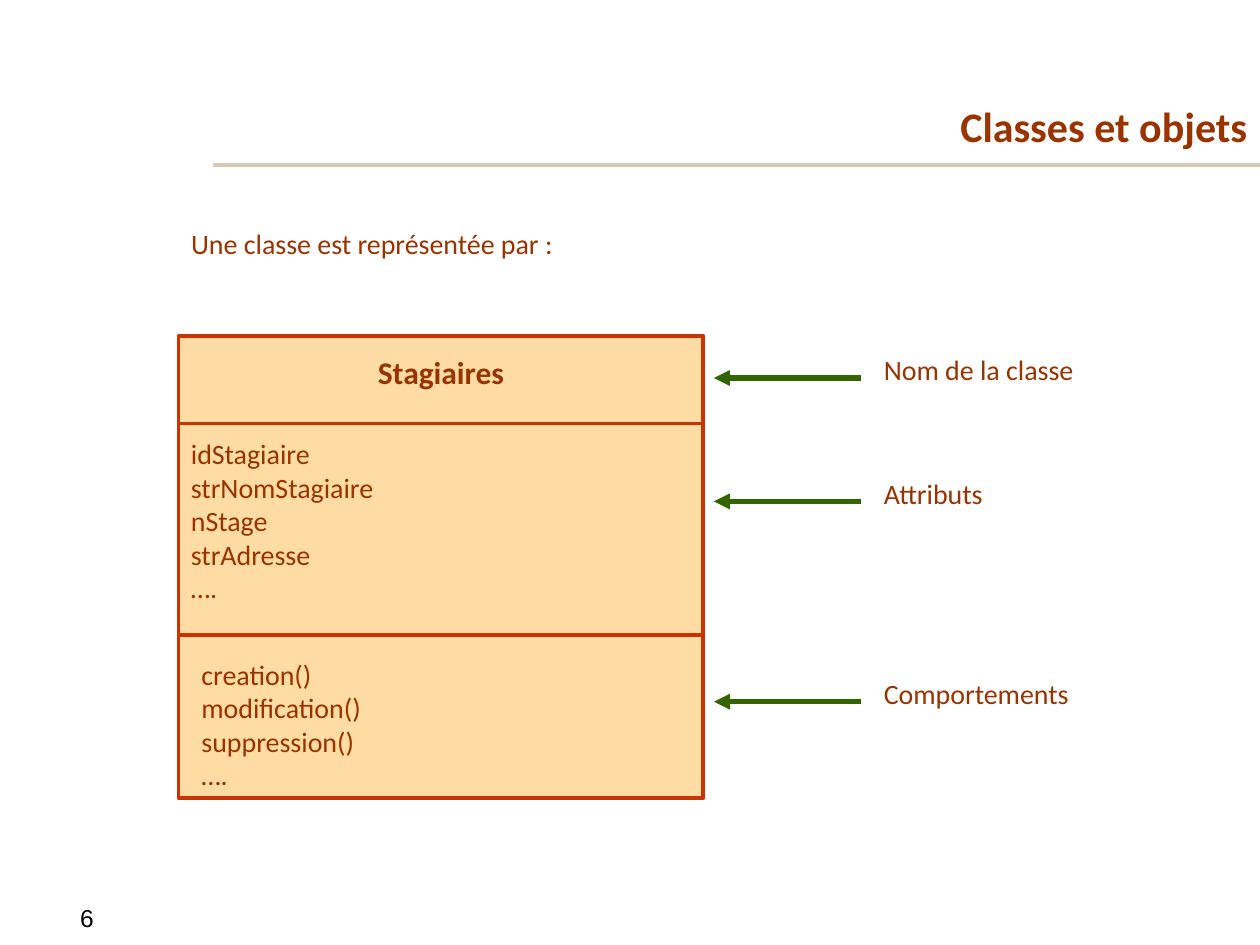
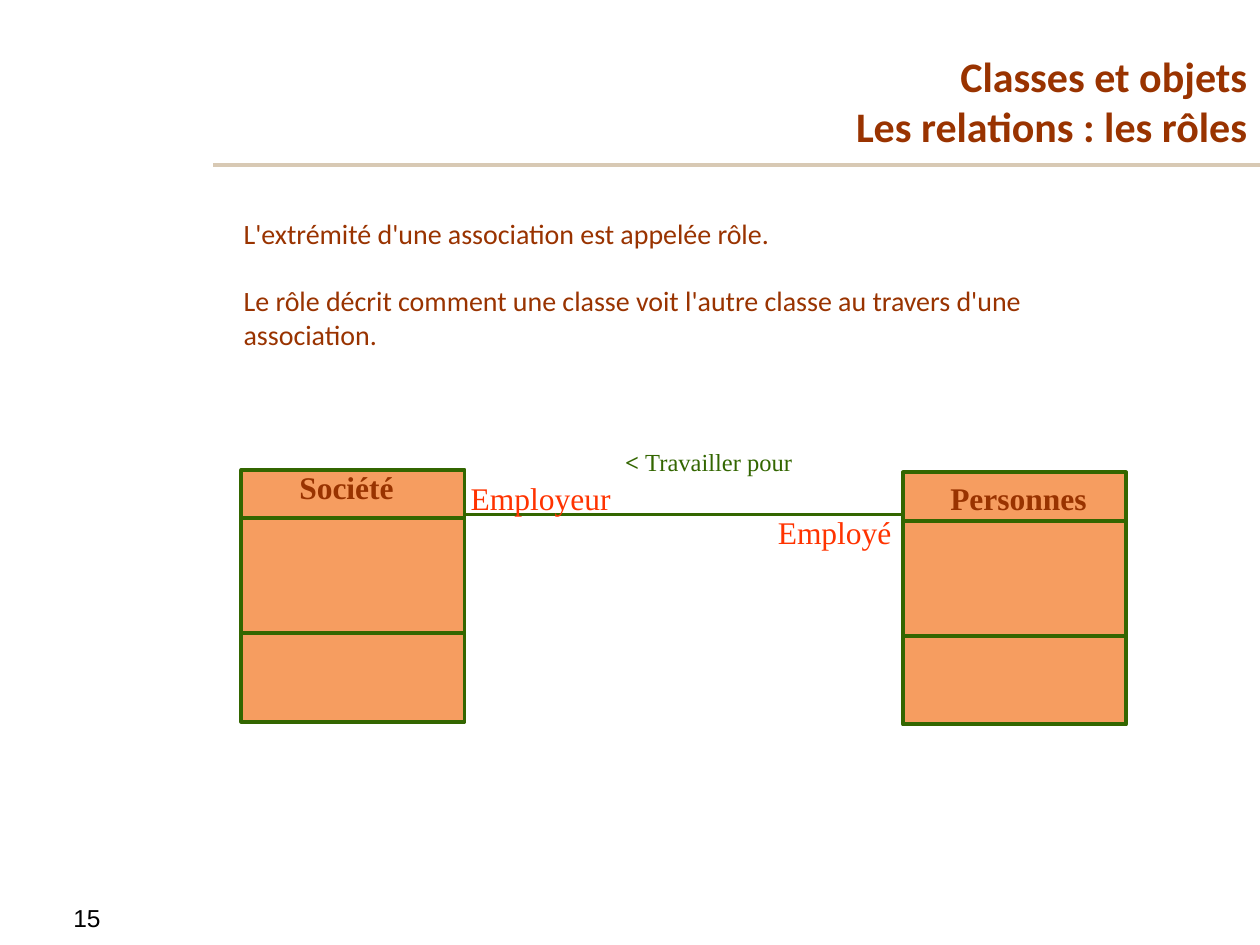
from lxml.etree import SubElement
from pptx import Presentation
from pptx.dml.color import RGBColor
from pptx.enum.shapes import MSO_CONNECTOR, MSO_SHAPE
from pptx.enum.text import MSO_ANCHOR, MSO_AUTO_SIZE, PP_ALIGN
from pptx.oxml.ns import qn
from pptx.util import Pt

COLORS = {
    "text": "993300", "rule": "D8C9B4", "number": "000000",
    "class_fill": "FFDCA3", "class_line": "CC3300",
    "role_fill": "F69D60", "green": "336600", "role": "FF3300",
}
SANS, SERIF = "Calibri", "Times New Roman"
RIGHT, TITLE_BOTTOM = 720, 90

CLASS_SLIDE = {
    "number": "6",
    "title": ["Classes et objets"],
    "title_at": (409, 30),
    "intro": ["Une classe est représentée par :"],
    "intro_at": (102, 126, 588, 26.5),
}
CLASS_NAME = "Stagiaires"
ATTRIBUTES = ["idStagiaire", "strNomStagiaire", "nStage", "strAdresse", "…."]
METHODS = ["creation()", "modification()", "suppression()", "…."]
CALLOUTS = [("Nom de la classe", 216), ("Attributs", 286.5), ("Comportements", 401)]

ROLE_SLIDE = {
    "number": "15",
    "title": ["Classes et objets", "Les relations : les rôles"],
    "title_at": (309.6, 36),
    "intro": [
        "L'extrémité d'une association est appelée rôle.",
        "Le rôle décrit comment une classe voit l'autre classe au travers d'une association.",
    ],
    "intro_at": (132, 120, 516, 84),
}
ROLE_CLASSES = [
    ("Société", (138, 268.5), (156, 264, 84, 29)),
    ("Personnes", (516, 270), (534, 270, 96, 29)),
]
ROLES = [("Employeur", (258, 270, 102, 29)), ("Employé", (426, 289.5, 102, 29))]
RELATION = ("< ", "Travailler pour")


def rgb(name):
    return RGBColor.from_string(COLORS[name])


def style(r, size, font, color, bold=False):
    r.font.size, r.font.name, r.font.bold = Pt(size), font, bold
    r.font.color.rgb = rgb(color)


def place(sp, x, y, w, h):
    sp.left, sp.top, sp.width, sp.height = Pt(x), Pt(y), Pt(w), Pt(h)


def write(sp, lines, size=16, font=SANS, color="text", bold=False,
          align=PP_ALIGN.LEFT, gap=0):
    tf = sp.text_frame
    tf.word_wrap = True
    tf.auto_size = MSO_AUTO_SIZE.NONE
    tf.text = "\n".join(lines)
    for i, p in enumerate(tf.paragraphs):
        p.alignment = align
        p.space_before = Pt(gap if i else 0)
        for r in p.runs:
            style(r, size, font, color, bold)
    return tf


def label(s, lines, at, **fmt):
    return write(s.shapes.add_textbox(*map(Pt, at)), lines, **fmt)


def line(s, start, end, color, width, arrow=False):
    c = s.shapes.add_connector(MSO_CONNECTOR.STRAIGHT, *map(Pt, start + end))
    c.line.color.rgb = rgb(color)
    c.line.width = Pt(width)
    if arrow:
        SubElement(c.line._get_or_add_ln(), qn("a:tailEnd"), type="triangle")
    SubElement(c._element.spPr, qn("a:effectLst"))


def class_box(s, x, y, w, h, head, middle, fill, edge):
    for top, height in ((y, h), (y + head, middle)):
        sp = s.shapes.add_shape(MSO_SHAPE.RECTANGLE, Pt(x), Pt(top), Pt(w), Pt(height))
        sp.shadow.inherit = False
        sp.fill.solid()
        sp.fill.fore_color.rgb = rgb(fill)
        sp.line.color.rgb = rgb(edge)
        sp.line.width = Pt(2.25)


def base_slide(prs, content):
    s = prs.slides.add_slide(prs.slide_layouts[1])
    title, body = s.placeholders
    x, y = content["title_at"]
    place(title, x, y, RIGHT - x, TITLE_BOTTOM - y)
    tf = write(title, content["title"], size=24, bold=True, align=PP_ALIGN.RIGHT)
    tf.vertical_anchor = MSO_ANCHOR.BOTTOM
    place(body, *content["intro_at"])
    for p in write(body, content["intro"], gap=19.5).paragraphs:
        pPr = p._p.get_or_add_pPr()
        pPr.set("marL", "0")
        pPr.set("indent", "0")
        SubElement(pPr, qn("a:buNone"))
    line(s, (122, 94.3), (RIGHT, 94.3), "rule", 2)
    label(s, [content["number"]], (0, 512.6, 99.4, 19.4), size=14, font="Arial",
          color="number", align=PP_ALIGN.CENTER)
    return s


def class_slide(prs):
    s = base_slide(prs, CLASS_SLIDE)
    class_box(s, 102, 192, 300, 264, 50, 121, "class_fill", "class_line")
    label(s, [CLASS_NAME], (144, 198, 216, 29), size=18, bold=True, align=PP_ALIGN.CENTER)
    label(s, ATTRIBUTES, (102, 246, 300, 104))
    label(s, METHODS, (108, 372, 276, 84))
    for text, y in CALLOUTS:
        label(s, [text], (498, y - 18, 156, 26.5))
        line(s, (492, y), (408, y), "green", 3, arrow=True)


def role_slide(prs):
    s = base_slide(prs, ROLE_SLIDE)
    serif = {"size": 18, "font": SERIF, "align": PP_ALIGN.CENTER}
    line(s, (264, 294), (516, 294), "green", 2.25)
    for name, (x, y), at in ROLE_CLASSES:
        class_box(s, x, y, 127.5, 144, 27.5, 66, "role_fill", "green")
        label(s, [name], at, bold=True, **serif)
    for name, at in ROLES:
        label(s, [name], at, color="role", **serif)
    sign, verb = RELATION
    tf = label(s, [sign], (294, 252, 222, 24), size=14, font=SERIF, color="green",
               bold=True, align=PP_ALIGN.CENTER)
    r = tf.paragraphs[0].add_run()
    r.text = verb
    style(r, 14, SERIF, "green")


def main():
    prs = Presentation()
    prs.slide_width, prs.slide_height = Pt(720), Pt(540)
    class_slide(prs)
    role_slide(prs)
    prs.save("out.pptx")


if __name__ == "__main__":
    main()
